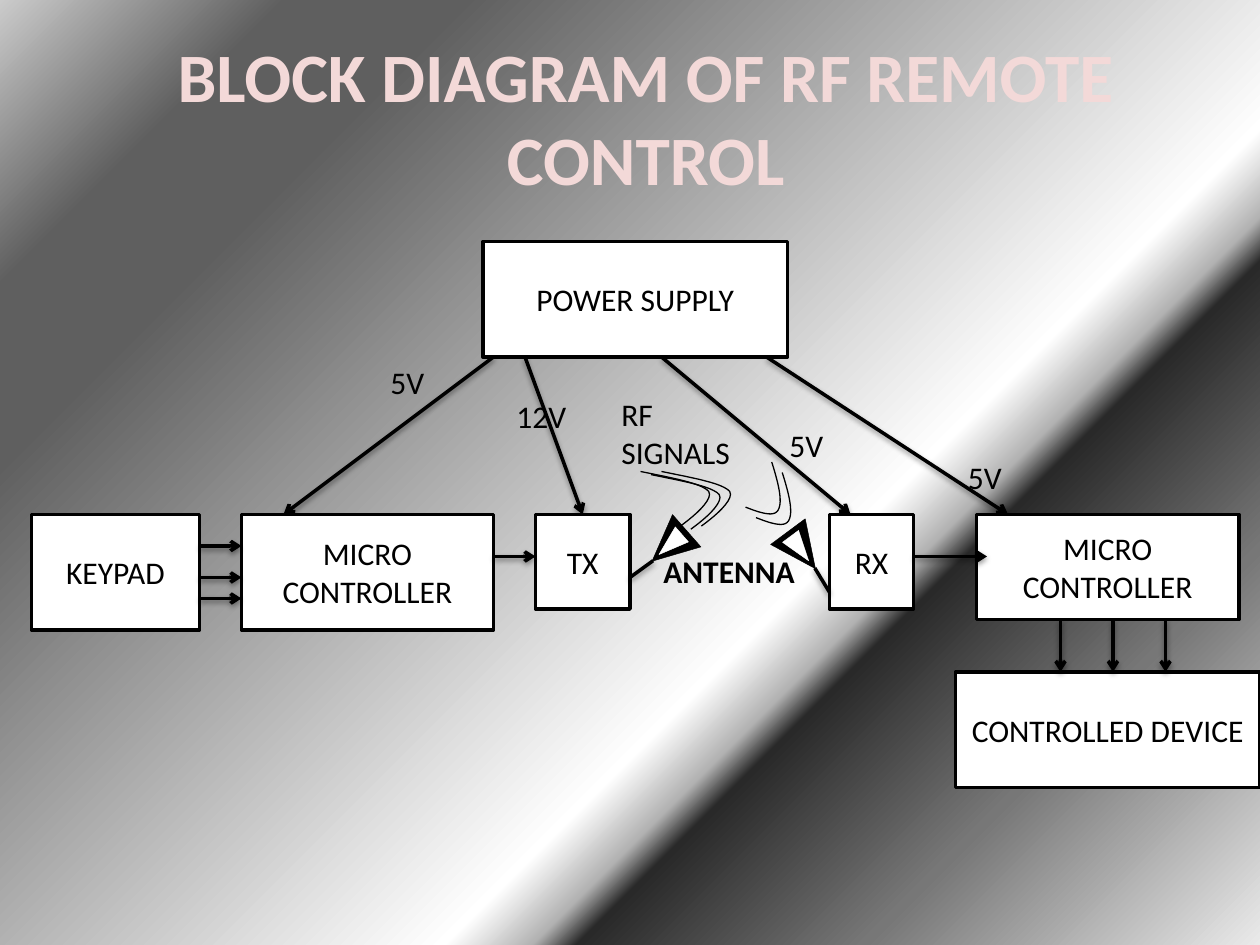
import pptx
import pptx.util
import pptx.dml.color
import pptx.enum.dml
import pptx.enum.shapes
import pptx.enum.text
import pptx.oxml
import pptx.oxml.ns

COLUMNS, ROWS = 120, 90
CELL = pptx.util.Inches(10 / COLUMNS)
SHAPES = pptx.enum.shapes.MSO_SHAPE
ALIGN = pptx.enum.text.PP_ALIGN
NAMESPACE = pptx.oxml.ns.nsdecls("a")
BACKGROUND_STOPS = [
    (0, "CBCBCB"), (13, "5F5F5F"), (21, "5F5F5F"), (63, "FFFFFF"),
    (67, "B2B2B2"), (69, "292929"), (82, "777777"), (100, "EAEAEA"),
]


def cells(*values):
    return [round(value * CELL) for value in values]


def color(value):
    return pptx.dml.color.RGBColor.from_string(value)


def write_text(shape, content, size=18, bold=False, fill="000000", align=ALIGN.LEFT):
    frame = shape.text_frame
    frame.word_wrap = True
    paragraph = frame.paragraphs[0]
    paragraph.alignment = align
    run = paragraph.add_run()
    run.text = content
    run.font.name = "Calibri"
    run.font.size = pptx.util.Pt(size)
    run.font.bold = bold
    run.font.color.rgb = color(fill)


def set_line(shape, width, stroke="000000"):
    shape.line.color.rgb = color(stroke)
    shape.line.width = pptx.util.Pt(width)


def add_filled(slide, preset, box, fill, stroke, width):
    shape = slide.shapes.add_shape(preset, *cells(*box))
    shape.shadow.inherit = False
    shape.fill.solid()
    shape.fill.fore_color.rgb = color(fill)
    set_line(shape, width, stroke)
    return shape


def add_block(slide, box, content):
    block = add_filled(slide, SHAPES.FLOWCHART_PROCESS, box, "FFFFFF", "000000", 2)
    write_text(block, content, align=ALIGN.CENTER)


def add_label(slide, box, content, bold=False):
    write_text(slide.shapes.add_textbox(*cells(*box)), content, bold=bold)


def add_wire(slide, start, end, arrow=True):
    wire = slide.shapes.add_connector(
        pptx.enum.shapes.MSO_CONNECTOR.STRAIGHT, *cells(*start, *end))
    set_line(wire, 2)
    if arrow:
        wire.line._get_or_add_ln().append(
            pptx.oxml.parse_xml(f'<a:tailEnd {NAMESPACE} type="arrow"/>'))
    wire._element.spPr.append(pptx.oxml.parse_xml(
        f'<a:effectLst {NAMESPACE}><a:outerShdw blurRad="39370" dist="20320" '
        'dir="5400000" rotWithShape="0"><a:srgbClr val="000000">'
        '<a:alpha val="38000"/></a:srgbClr></a:outerShdw></a:effectLst>'))


def bezier(points, steps=12):
    for step in range(1, steps + 1):
        t = step / steps
        weights = ((1 - t) ** 3, 3 * t * (1 - t) ** 2, 3 * t * t * (1 - t), t ** 3)
        yield tuple(sum(w * p[axis] for w, p in zip(weights, points)) for axis in (0, 1))


def add_wave(slide, origin, controls):
    points = [controls[0]]
    for first in range(0, len(controls) - 1, 3):
        points.extend(bezier(controls[first:first + 4]))
    start, *rest = [cells(origin[0] + x, origin[1] + y) for x, y in points]
    builder = slide.shapes.build_freeform(*start)
    builder.add_line_segments(rest, close=False)
    wave = builder.convert_to_shape()
    wave.shadow.inherit = False
    wave.fill.background()
    set_line(wave, 0.75)


def add_antenna(slide, left, top, inset, rotation, lead):
    for box, fill in (((left, top, 4.1, 4.4), "000000"),
                      ((left + inset, top + 0.6, 1.9, 2.9), "FFFFFF")):
        triangle = add_filled(slide, SHAPES.ISOSCELES_TRIANGLE, box, fill, fill, 0.25)
        triangle.rotation = rotation
    add_wire(slide, *lead, arrow=False)


def paint_background(slide):
    fill = slide.background.fill
    fill.gradient()
    fill.gradient_angle = 315
    stops = fill.gradient_stops._gsLst
    for stop in list(stops):
        stops.remove(stop)
    for position, value in BACKGROUND_STOPS:
        stops.append(pptx.oxml.parse_xml(
            f'<a:gs {NAMESPACE} pos="{position * 1000}"><a:srgbClr val="{value}"/></a:gs>'))


def add_title(slide, box):
    title = slide.shapes.title
    title.left, title.top, title.width, title.height = cells(*box)
    title.text_frame.vertical_anchor = pptx.enum.text.MSO_ANCHOR.MIDDLE
    write_text(title, "BLOCK DIAGRAM OF RF REMOTE CONTROL",
               size=39.6, bold=True, fill="F3D9D8", align=ALIGN.CENTER)


def add_power(slide, left, top, width, height, target):
    add_block(slide, (left, top, width, height), "POWER SUPPLY")
    for offset, end in ((4, 55.5), (17, 81), (27, 96), (1, 27)):
        add_wire(slide, (left + offset, top + height), (end, target))
    for x, y, columns, volts in ((36, 34, 6, "5V"), (48, 37.2, 8, "12V"),
                                 (74, 40, 6, "5V"), (91, 43, 6, "5V")):
        add_label(slide, (x, y, columns, 4.8), volts)


def add_transmitter(slide, left, top):
    add_block(slide, (left, top, 16, 11), "KEYPAD")
    add_block(slide, (left + 20, top, 24, 11), "MICRO CONTROLLER")
    add_block(slide, (left + 48, top, 9, 9), "TX")
    for row in (3, 6, 8):
        add_wire(slide, (left + 16, top + row), (left + 20, top + row))
    add_wire(slide, (left + 44, top + 4), (left + 48, top + 4))


def add_receiver(slide, left, top):
    add_block(slide, (left, top, 8, 9), "RX")
    add_block(slide, (left + 14, top, 25, 10), "MICRO CONTROLLER")
    add_block(slide, (left + 12, top + 15, 29, 11), "CONTROLLED DEVICE")
    add_wire(slide, (left + 8, top + 4), (left + 15, top + 4))
    for column in (22, 27, 32):
        add_wire(slide, (left + column, top + 10), (left + column, top + 15))


def add_radio_link(slide, left, top):
    sent = [(0, 0), (2.9, 0.6), (5.8, 1.1), (6.5, 1.9), (7.1, 2.9), (3.8, 5.2), (3.8, 5.2)]
    received = [(0, 0), (0.6, 1.9), (1.1, 3.8), (0.6, 4.6),
                (0.2, 5.3), (-1.2, 4.8), (-2.5, 4.3)]
    for x, y, controls in ((4, 8.2, sent), (3, 7.9, sent), (5, 7.9, sent),
                           (16.5, 8, received), (15.5, 7, received)):
        add_wave(slide, (left + x, top + y), controls)
    add_label(slide, (left, top, 13, 8.5), "RF SIGNALS")
    add_antenna(slide, left + 3.7, top + 12.8, 1.2, 228.7,
                ((left + 4.2, top + 16.4), (left + 2, top + 18)))
    add_antenna(slide, left + 16.3, top + 13.2, 0.9, 143.4,
                ((left + 19.6, top + 17.1), (left + 21, top + 19.4)))
    add_label(slide, (left + 4, top + 15, 15, 4.8), "ANTENNA", bold=True)


def main():
    presentation = pptx.Presentation()
    presentation.slide_width, presentation.slide_height = cells(COLUMNS, ROWS)
    slide = presentation.slides.add_slide(presentation.slide_layouts[5])
    paint_background(slide)
    add_title(slide, (3, 3.6, 117, 15))
    add_power(slide, 46, 23, 29, 11, target=49)
    add_transmitter(slide, 3, 49)
    add_receiver(slide, 79, 49)
    add_radio_link(slide, 58, 37)
    presentation.save("out.pptx")


if __name__ == "__main__":
    main()
